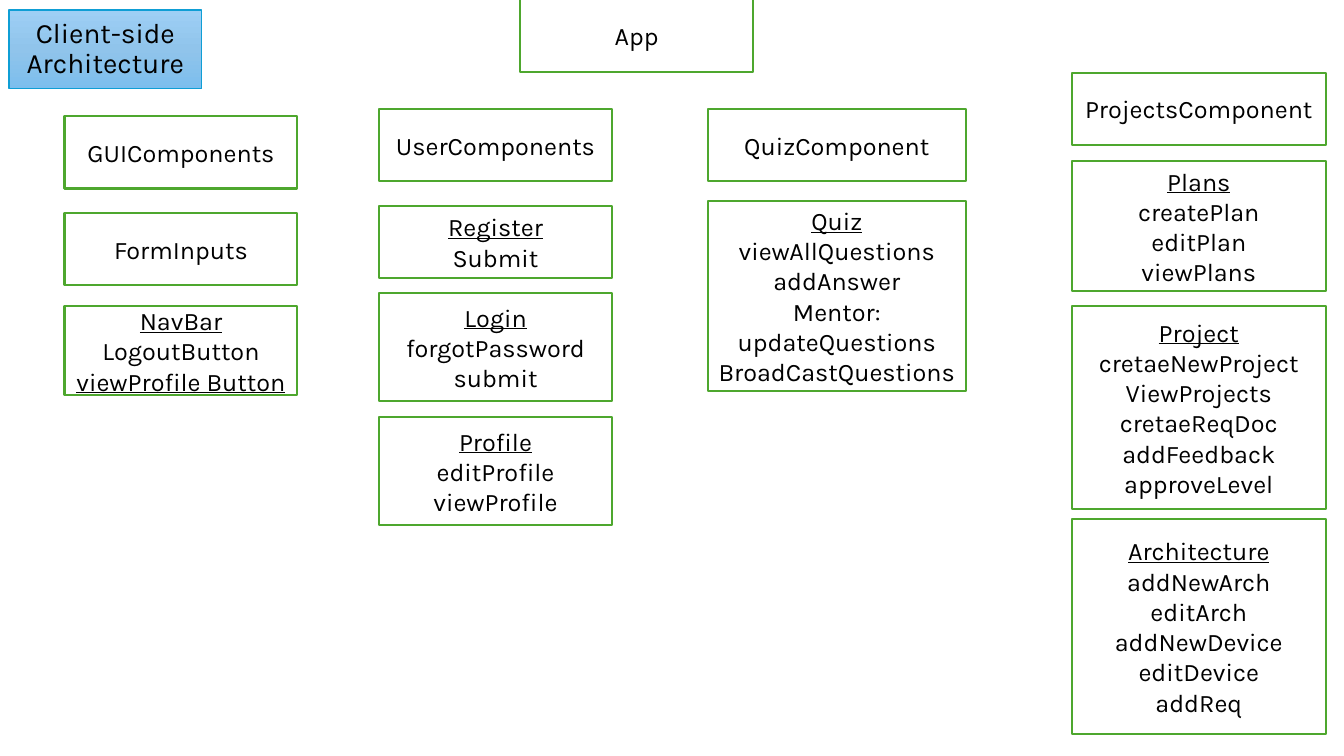
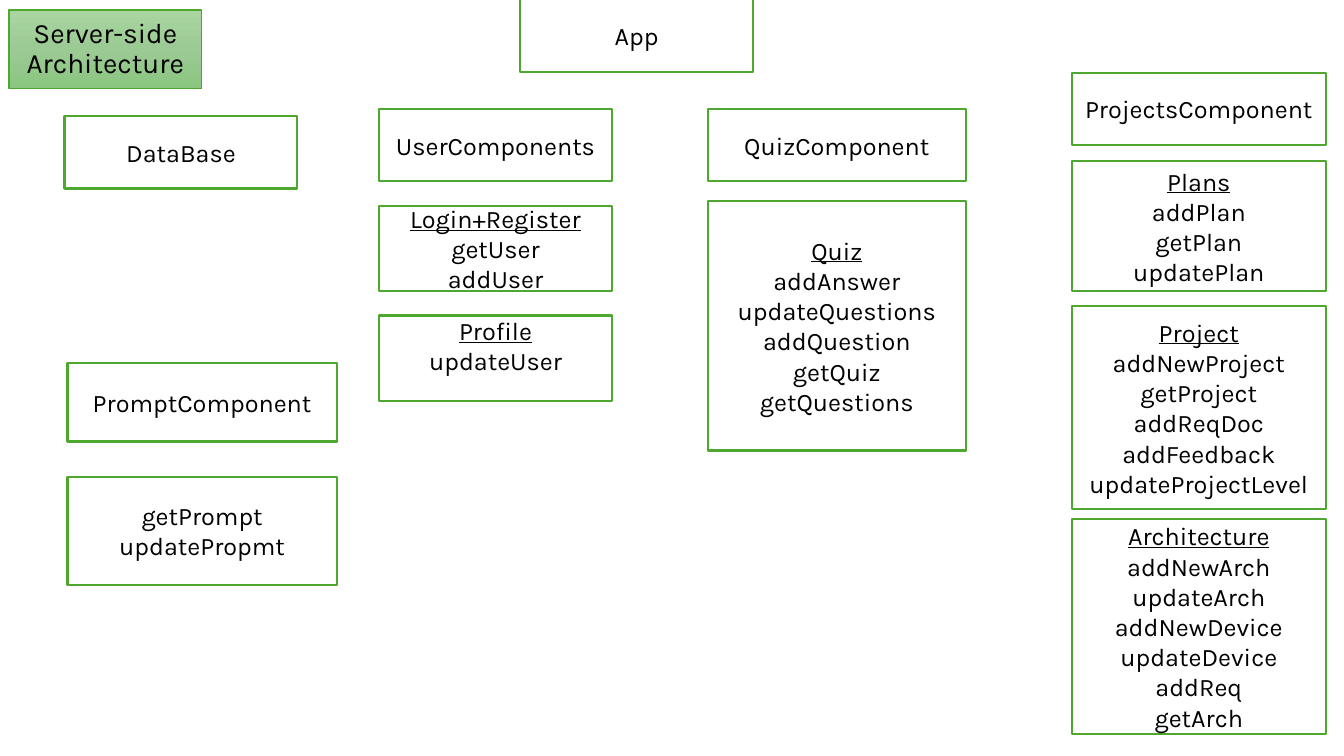
"""Build two slides listing the client-side and server-side components of an app."""
from copy import deepcopy

from pptx import Presentation
from pptx.dml.color import RGBColor
from pptx.enum.shapes import MSO_SHAPE
from pptx.enum.text import MSO_ANCHOR, PP_ALIGN
from pptx.oxml.ns import qn
from pptx.util import Pt

EMU_PER_PX = 9144
SLIDE_SIZE = (1333, 750)
FONT = "Karla"

BLACK = RGBColor(0x00, 0x00, 0x00)
WHITE = RGBColor(0xFF, 0xFF, 0xFF)
GREEN = RGBColor(0x4E, 0xA7, 0x2E)
BLUE = RGBColor(0x0F, 0x9E, 0xD5)
BLUE_FADE = (RGBColor(0x9E, 0xCF, 0xF5), RGBColor(0x90, 0xC4, 0xEB), RGBColor(0x7C, 0xBE, 0xED))
GREEN_FADE = (RGBColor(0xA8, 0xD5, 0xA0), RGBColor(0x9C, 0xCA, 0x94), RGBColor(0x8A, 0xC6, 0x80))

TITLE_BOX = (9, 10, 191, 78)
TITLE_FORMAT = {"size": Pt(20), "line_width": Pt(1), "line_spacing": 0.9}
BOX_FORMAT = {"size": Pt(18), "line_width": Pt(1.5), "line_spacing": 1.0}

COLUMNS = {
    "app": (516, 231),
    "left": (64, 231),
    "prompt": (67, 267),
    "user": (376, 231),
    "quiz": (702, 256),
    "projects": (1063, 252),
}

UNDERLINED = {
    "NavBar", "viewProfile Button", "Register", "Login", "Login+Register",
    "Profile", "Quiz", "Plans", "Project", "Architecture",
}

SHARED_BOXES = [
    ("app", -1, 72, ["App"]),
    ("user", 108, 72, ["UserComponents"]),
    ("quiz", 108, 72, ["QuizComponent"]),
    ("projects", 72, 72, ["ProjectsComponent"]),
]

SLIDES = [
    {
        "title": "Client-side Architecture",
        "fade": BLUE_FADE,
        "line": BLUE,
        "boxes": [
            ("left", 115, 72, ["GUIComponents"]),
            ("left", 211, 72, ["FormInputs"]),
            ("left", 304, 88, ["NavBar", "LogoutButton", "viewProfile Button"]),
            ("user", 204, 72, ["Register", "Submit"]),
            ("user", 291, 107, ["Login", "forgotPassword", "submit"]),
            ("user", 414, 107, ["Profile", "editProfile", "viewProfile"]),
            ("quiz", 199, 189, ["Quiz", "viewAllQuestions", "addAnswer", "Mentor:",
                                "updateQuestions", "BroadCastQuestions"]),
            ("projects", 160, 129, ["Plans", "createPlan", "editPlan", "viewPlans"]),
            ("projects", 304, 201, ["Project", "cretaeNewProject", "ViewProjects",
                                    "cretaeReqDoc", "addFeedback", "approveLevel"]),
            ("projects", 515, 213, ["Architecture", "addNewArch", "editArch",
                                    "addNewDevice", "editDevice", "addReq"]),
        ],
        "top_aligned": [],
    },
    {
        "title": "Server-side Architecture",
        "fade": GREEN_FADE,
        "line": GREEN,
        "boxes": [
            ("left", 115, 72, ["DataBase"]),
            ("prompt", 360, 78, ["PromptComponent"]),
            ("prompt", 473, 107, ["getPrompt", "updatePropmt"]),
            ("user", 204, 85, ["Login+Register", "getUser", "addUser"]),
            ("quiz", 199, 248, ["Quiz", "addAnswer", "updateQuestions", "addQuestion",
                                "getQuiz", "getQuestions"]),
            ("projects", 160, 129, ["Plans", "addPlan", "getPlan", "updatePlan"]),
            ("projects", 304, 201, ["Project", "addNewProject", "getProject", "addReqDoc",
                                    "addFeedback", "updateProjectLevel"]),
            ("projects", 515, 213, ["Architecture", "addNewArch", "updateArch", "addNewDevice",
                                    "updateDevice", "addReq", "getArch"]),
        ],
        "top_aligned": [("user", 313, 85, ["Profile", "updateUser"])],
    },
]


def px(length):
    return length * EMU_PER_PX


def add_box(slide, place, lines, line_color, style):
    shape = slide.shapes.add_shape(MSO_SHAPE.RECTANGLE, *map(px, place))
    shape.shadow.inherit = False
    shape.fill.solid()
    shape.fill.fore_color.rgb = WHITE
    shape.line.color.rgb = line_color
    shape.line.width = style["line_width"]
    frame = shape.text_frame
    frame.word_wrap = True
    frame.vertical_anchor = MSO_ANCHOR.MIDDLE
    frame.text = "\n".join(lines)
    for paragraph in frame.paragraphs:
        paragraph.alignment = PP_ALIGN.CENTER
        paragraph.line_spacing = style["line_spacing"]
        for run in paragraph.runs:
            font_values = {"name": FONT, "size": style["size"], "underline": run.text in UNDERLINED}
            for name, value in font_values.items():
                setattr(run.font, name, value)
            run.font.color.rgb = BLACK
    return shape


def add_title(slide, text, fade, line_color):
    shape = add_box(slide, TITLE_BOX, [text], line_color, TITLE_FORMAT)
    shape.fill.gradient()
    shape.fill.gradient_angle = 270
    first_stop = shape.element.spPr.find(".//" + qn("a:gs"))
    first_stop.addnext(deepcopy(first_stop))
    for index, (stop, color) in enumerate(zip(shape.fill.gradient_stops, fade)):
        stop.position = index / 2
        stop.color.rgb = color


def add_component(slide, column, top, height, lines):
    left, width = COLUMNS[column]
    return add_box(slide, (left, top, width, height), lines, GREEN, BOX_FORMAT)


def main():
    presentation = Presentation()
    presentation.slide_width, presentation.slide_height = map(px, SLIDE_SIZE)
    for content in SLIDES:
        slide = presentation.slides.add_slide(presentation.slide_layouts[6])
        add_title(slide, content["title"], content["fade"], content["line"])
        for box in SHARED_BOXES + content["boxes"]:
            add_component(slide, *box)
        for box in content["top_aligned"]:
            frame = add_component(slide, *box).text_frame
            frame.vertical_anchor = MSO_ANCHOR.TOP
            frame.margin_top = 0
    presentation.save("out.pptx")


if __name__ == "__main__":
    main()
